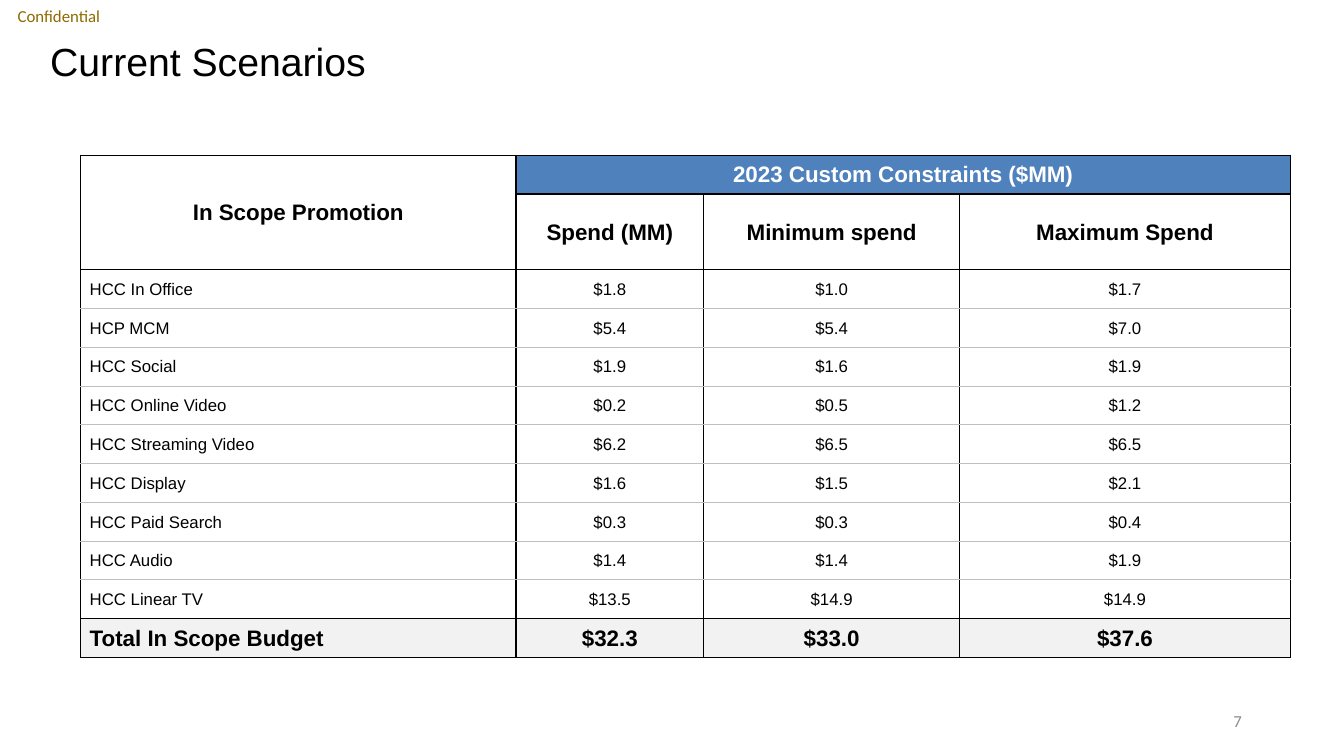
import pptx
import pptx.util
import pptx.dml.color
import pptx.enum.text
import pptx.oxml
import pptx.oxml.ns

Pt = pptx.util.Pt
RGBColor = pptx.dml.color.RGBColor
ALIGN = pptx.enum.text.PP_ALIGN
MIDDLE = pptx.enum.text.MSO_ANCHOR.MIDDLE

BLACK = RGBColor(0x00, 0x00, 0x00)
WHITE = RGBColor(0xFF, 0xFF, 0xFF)
GOLD = RGBColor(0x8E, 0x6A, 0x00)
GREY = RGBColor(0x8C, 0x8C, 0x8C)
RULE = RGBColor(0xBF, 0xBF, 0xBF)
BLUE = RGBColor(0x4F, 0x81, 0xBD)
PALE = RGBColor(0xF2, 0xF2, 0xF2)

LABELS = [
    ("Confidential", (0, 0, 84.24, 23.04), (12.6, 0), 12, "Calibri", GOLD, ALIGN.LEFT),
    ("Current Scenarios", (28.8, 28.8, 864, 28.8), (7.2, 3.6), 28, "Arial", BLACK, ALIGN.LEFT),
    ("7", (678.24, 500.4, 216, 28.8), (7.2, 3.6), 12, "Calibri", GREY, ALIGN.RIGHT),
]
ROWS = [
    ("In Scope Promotion", "2023 Custom Constraints ($MM)", "", ""),
    ("", "Spend (MM)", "Minimum spend", "Maximum Spend"),
    ("HCC In Office", "$1.8", "$1.0", "$1.7"),
    ("HCP MCM", "$5.4", "$5.4", "$7.0"),
    ("HCC Social", "$1.9", "$1.6", "$1.9"),
    ("HCC Online Video", "$0.2", "$0.5", "$1.2"),
    ("HCC Streaming Video", "$6.2", "$6.5", "$6.5"),
    ("HCC Display", "$1.6", "$1.5", "$2.1"),
    ("HCC Paid Search", "$0.3", "$0.3", "$0.4"),
    ("HCC Audio", "$1.4", "$1.4", "$1.9"),
    ("HCC Linear TV", "$13.5", "$14.9", "$14.9"),
    ("Total In Scope Budget", "$32.3", "$33.0", "$37.6"),
]
COL_WIDTHS = (311, 134, 183, 236)
ROW_HEIGHT, SUBHEAD_HEIGHT = 27.7, 54
HEADER_ROWS = 2
TOTAL = len(ROWS) - 1


def add_run(p, text, size, font, color, align, bold=False):
    p.alignment = align
    r = p.add_run()
    r.text = text
    r.font.size = Pt(size)
    r.font.name = font
    r.font.bold = bold
    r.font.color.rgb = color


def set_borders(cell, row):
    inner_top = HEADER_ROWS < row < TOTAL
    inner_bottom = HEADER_ROWS <= row < TOTAL - 1
    sides = (("L", False), ("R", False), ("T", inner_top), ("B", inner_bottom))
    tcPr = cell._tc.get_or_add_tcPr()
    for i, (side, inner) in enumerate(sides):
        color, width = (RULE, 0.5) if inner else (BLACK, 1)
        tcPr.insert(i, pptx.oxml.parse_xml(
            f'<a:ln{side} {pptx.oxml.ns.nsdecls("a")} w="{Pt(width)}">'
            f'<a:solidFill><a:srgbClr val="{color}"/></a:solidFill></a:ln{side}>'))


def fill_cell(cell, row, col, text):
    header, total = row < HEADER_ROWS, row == TOTAL
    banner = row == 0 and col > 0
    name = col == 0 and not header
    cell.vertical_anchor = MIDDLE
    cell.margin_left = Pt(6.5 if name else 0.7)
    cell.margin_right = cell.margin_top = Pt(0.7)
    cell.margin_bottom = Pt(0)
    if banner or total:
        cell.fill.solid()
        cell.fill.fore_color.rgb = BLUE if banner else PALE
    else:
        cell.fill.background()
    set_borders(cell, row)
    if text:
        strong = header or total
        add_run(cell.text_frame.paragraphs[0], text, 16 if strong else 12, "Arial",
                WHITE if banner else BLACK, ALIGN.LEFT if name else ALIGN.CENTER, strong)


prs = pptx.Presentation()
prs.slide_width, prs.slide_height = Pt(960), Pt(540)
s = prs.slides.add_slide(prs.slide_layouts[6])

for text, box, (inset_x, inset_y), size, font, color, align in LABELS:
    tf = s.shapes.add_textbox(*map(Pt, box)).text_frame
    tf.word_wrap = True
    tf.vertical_anchor = MIDDLE
    tf.margin_left = tf.margin_right = Pt(inset_x)
    tf.margin_top = tf.margin_bottom = Pt(inset_y)
    p = tf.paragraphs[0]
    add_run(p, text, size, font, color, align)

heights = [SUBHEAD_HEIGHT if row == 1 else ROW_HEIGHT for row in range(len(ROWS))]
table = s.shapes.add_table(len(ROWS), len(COL_WIDTHS), Pt(57.6), Pt(110.9),
                           Pt(sum(COL_WIDTHS)), Pt(sum(heights))).table
table.first_row = table.horz_banding = False
for column, width in zip(table.columns, COL_WIDTHS):
    column.width = Pt(width)
for line, height in zip(table.rows, heights):
    line.height = Pt(height)
for row, texts in enumerate(ROWS):
    for col, text in enumerate(texts):
        fill_cell(table.cell(row, col), row, col, text)
table.cell(0, 0).merge(table.cell(1, 0))
table.cell(0, 1).merge(table.cell(0, 3))

prs.save("out.pptx")
